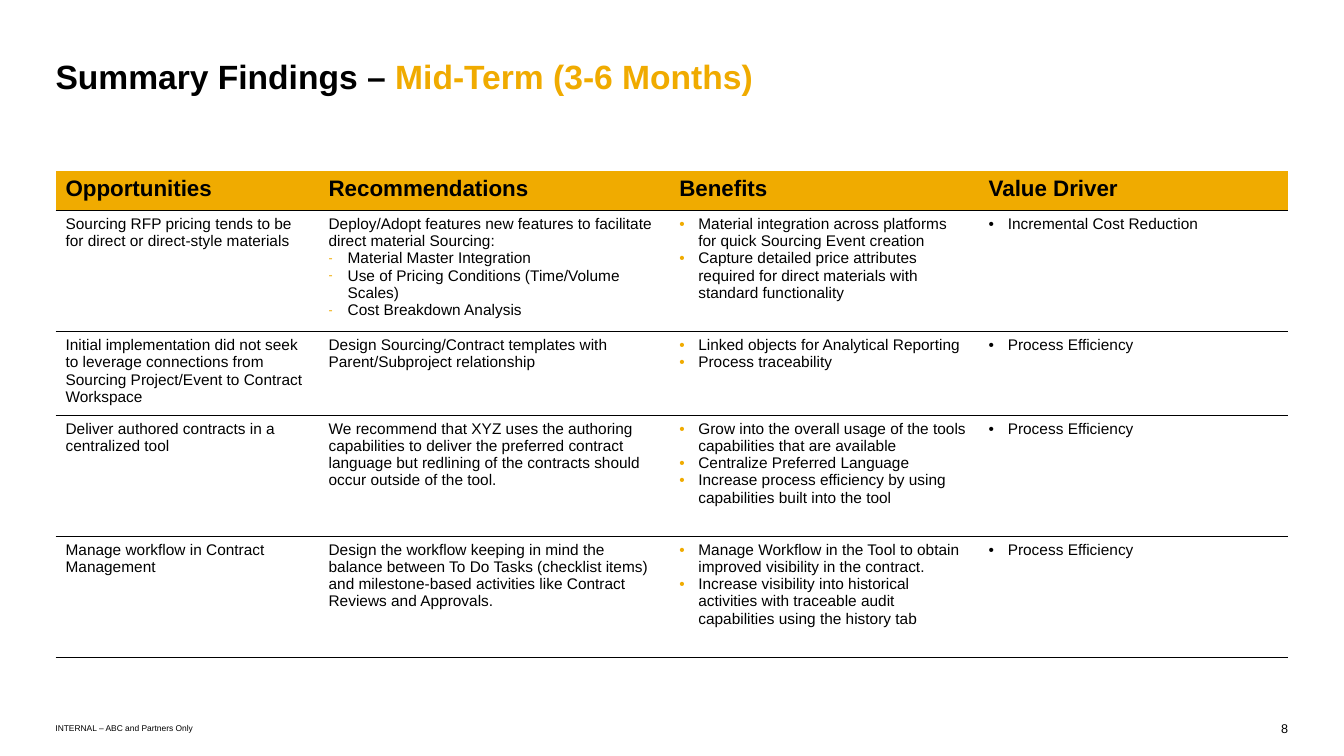
"""Build the mid-term summary findings slide with its table of opportunities."""
from lxml.etree import SubElement
from pptx import Presentation
from pptx.dml.color import RGBColor
from pptx.enum.text import MSO_ANCHOR as Anchor, MSO_AUTO_SIZE as AutoSize, PP_ALIGN as Align
from pptx.oxml.ns import qn
from pptx.util import Cm, Pt

BLACK = RGBColor(0x00, 0x00, 0x00)
AMBER = RGBColor(0xF0, 0xAB, 0x00)
FONT = "Arial"
PLAIN_STYLE = "{2D5ABB26-0587-4C30-8999-92F81FD0307C}"

TITLE = [("Summary Findings – ", BLACK), ("Mid-Term (3-6 Months)", AMBER)]
FOOTER = "INTERNAL – ABC and Partners Only"
PAGE = "8"

HEADINGS = ["Opportunities", "Recommendations", "Benefits", "Value Driver"]
FINDINGS = [
    {
        "opportunity": "Sourcing RFP pricing tends to be for direct or direct-style materials",
        "recommendation": "Deploy/Adopt features new features to facilitate direct material Sourcing:",
        "details": [
            "Material Master Integration",
            "Use of Pricing Conditions (Time/Volume Scales)",
            "Cost Breakdown Analysis",
        ],
        "benefits": [
            "Material integration across platforms for quick Sourcing Event creation",
            "Capture detailed price attributes required for direct materials with standard functionality",
        ],
        "driver": "Incremental Cost Reduction",
    },
    {
        "opportunity": "Initial implementation did not seek to leverage connections from "
                       "Sourcing Project/Event to Contract Workspace",
        "recommendation": "Design Sourcing/Contract templates with Parent/Subproject relationship",
        "details": [],
        "benefits": ["Linked objects for Analytical Reporting", "Process traceability"],
        "driver": "Process Efficiency",
    },
    {
        "opportunity": "Deliver authored contracts in a centralized tool",
        "recommendation": "We recommend that XYZ uses the authoring capabilities to deliver the preferred "
                          "contract language but redlining of the contracts should occur outside of the tool.",
        "details": [],
        "benefits": [
            "Grow into the overall usage of the tools capabilities that are available",
            "Centralize Preferred Language",
            "Increase process efficiency by using capabilities built into the tool",
        ],
        "driver": "Process Efficiency",
    },
    {
        "opportunity": "Manage workflow in Contract Management",
        "recommendation": "Design the workflow keeping in mind the balance between To Do Tasks (checklist items) "
                          "and milestone-based activities like Contract Reviews and Approvals.",
        "details": [],
        "benefits": [
            "Manage Workflow in the Tool to obtain improved visibility in the contract.",
            "Increase visibility into historical activities with traceable audit capabilities "
            "using the history tab",
        ],
        "driver": "Process Efficiency",
    },
]

SLIDE_WIDTH, SLIDE_HEIGHT = Cm(33.88), Cm(19.05)
MARGIN = Cm(1.4)
COLUMN_WIDTHS = [Cm(6.63), Cm(8.84), Cm(7.8), Cm(7.8)]
ROW_HEIGHTS = [Cm(0.99), Cm(3.05), Cm(2.11), Cm(3.05), Cm(3.05)]
CONTENT_WIDTH = sum(COLUMN_WIDTHS)
TABLE_TOP = Cm(4.32)
FOOTER_TOP, FOOTER_HEIGHT = Cm(18.16), Cm(0.38)
INDENT = Cm(0.48)

DASH = {"mark": "-", "color": AMBER, "percent": 80}
AMBER_DOT = {"mark": "•", "color": AMBER}
BLACK_DOT = {"mark": "•"}


def style_font(font, size, color=BLACK, bold=False):
    font.name, font.size, font.bold = FONT, Pt(size), bold
    font.color.rgb = color


def add_bullet(paragraph, mark, color=None, percent=None):
    properties = paragraph._p.get_or_add_pPr()
    properties.set("marL", str(INDENT))
    properties.set("indent", str(-INDENT))
    if color is not None:
        SubElement(SubElement(properties, qn("a:buClr")), qn("a:srgbClr"), val=str(color))
    if percent:
        SubElement(properties, qn("a:buSzPct"), val=str(percent * 1000))
    SubElement(properties, qn("a:buFont"), typeface=FONT)
    SubElement(properties, qn("a:buChar"), char=mark)


def underline_cell(cell):
    border = SubElement(cell._tc.get_or_add_tcPr(), qn("a:lnB"), w=str(Pt(1)))
    SubElement(SubElement(border, qn("a:solidFill")), qn("a:srgbClr"), val=str(BLACK))


def fill_cell(cell, lines, size, bold=False, color=None):
    underline_cell(cell)
    if color is None:
        cell.fill.background()
    else:
        cell.fill.solid()
        cell.fill.fore_color.rgb = color
    frame = cell.text_frame
    for index, (text, bullet) in enumerate(lines):
        paragraph = frame.add_paragraph() if index else frame.paragraphs[0]
        paragraph.text = text
        if bullet:
            add_bullet(paragraph, **bullet)
        style_font(paragraph.font, size, bold=bold)


def clear_margins(frame):
    frame.margin_left = frame.margin_right = frame.margin_top = frame.margin_bottom = 0
    frame.vertical_anchor = Anchor.MIDDLE
    frame.word_wrap = True


def add_title(slide):
    title = slide.shapes.title
    title.left, title.top, title.width, title.height = MARGIN, MARGIN, CONTENT_WIDTH, Cm(1.02)
    frame = title.text_frame
    clear_margins(frame)
    frame.auto_size = AutoSize.NONE
    heading = frame.paragraphs[0]
    heading.alignment = Align.LEFT
    for text, color in TITLE:
        part = heading.add_run()
        part.text = text
        style_font(part.font, 24, color, bold=True)


def add_findings(slide):
    findings = slide.shapes.add_table(
        len(ROW_HEIGHTS), len(COLUMN_WIDTHS), MARGIN, TABLE_TOP, CONTENT_WIDTH, sum(ROW_HEIGHTS)).table
    findings.horz_banding = False
    findings._tbl.tblPr.find(qn("a:tableStyleId")).text = PLAIN_STYLE
    for column, width in zip(findings.columns, COLUMN_WIDTHS):
        column.width = width
    for row, height in zip(findings.rows, ROW_HEIGHTS):
        row.height = height
    for column, heading in enumerate(HEADINGS):
        fill_cell(findings.cell(0, column), [(heading, None)], 16, bold=True, color=AMBER)
    for row, finding in enumerate(FINDINGS, start=1):
        columns = [
            [(finding["opportunity"], None)],
            [(finding["recommendation"], None)] + [(detail, DASH) for detail in finding["details"]],
            [(benefit, AMBER_DOT) for benefit in finding["benefits"]],
            [(finding["driver"], BLACK_DOT)],
        ]
        for column, lines in enumerate(columns):
            fill_cell(findings.cell(row, column), lines, 11)


def add_note(slide, text, left, width, size, alignment):
    frame = slide.shapes.add_textbox(left, FOOTER_TOP, width, FOOTER_HEIGHT).text_frame
    clear_margins(frame)
    note = frame.paragraphs[0]
    note.text, note.alignment = text, alignment
    style_font(note.font, size)


def main():
    deck = Presentation()
    deck.slide_width, deck.slide_height = SLIDE_WIDTH, SLIDE_HEIGHT
    slide = deck.slides.add_slide(deck.slide_layouts[5])
    add_title(slide)
    add_findings(slide)
    add_note(slide, FOOTER, MARGIN, Cm(28.22), 6, Align.LEFT)
    page_width = Cm(0.38)
    add_note(slide, PAGE, MARGIN + CONTENT_WIDTH - page_width, page_width, 9, Align.RIGHT)
    deck.save("out.pptx")


if __name__ == "__main__":
    main()
